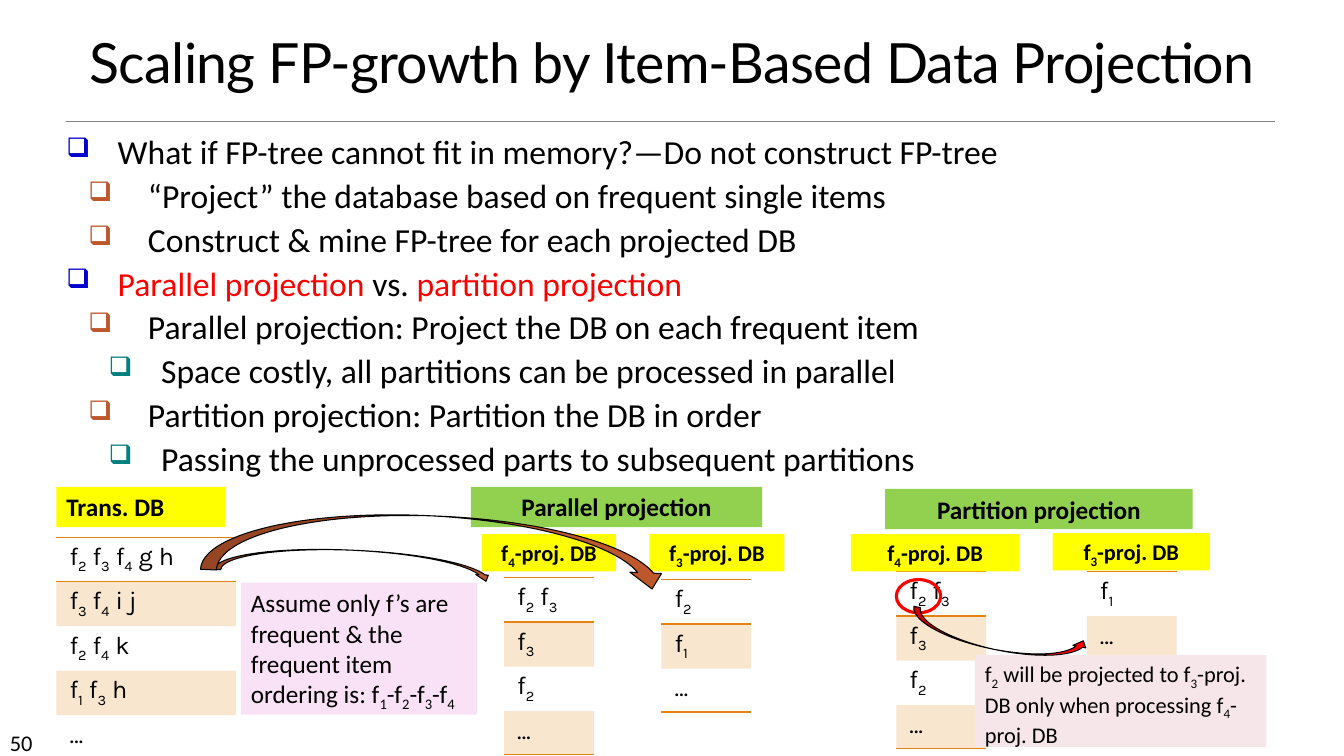
from lxml import etree
from pptx import Presentation
from pptx.dml.color import RGBColor
from pptx.enum import shapes, text
from pptx.oxml import ns
from pptx.util import Inches, Pt

BLACK = RGBColor(0, 0, 0)
GRAY = RGBColor(0x80, 0x80, 0x80)
RED = RGBColor(0xFF, 0, 0)
YELLOW = RGBColor(0xFF, 0xFF, 0)
GREEN = RGBColor(0x92, 0xD0, 0x50)
PINK = RGBColor(0xFA, 0xE2, 0xF6)
ROSE = RGBColor(0xF6, 0xE6, 0xEA)
RUST = RGBColor(0xBD, 0x58, 0x2C)
ORANGE = RGBColor(0xE4, 0x83, 0x12)
BLUE = RGBColor(0, 0, 0xCC)
TEAL = RGBColor(0, 0x80, 0x80)

LEFT, MID = text.PP_ALIGN.LEFT, text.PP_ALIGN.CENTER
KIND = shapes.MSO_SHAPE

# Content: "_" puts the next character in subscript
TITLE = "Scaling FP-growth by Item-Based Data Projection"
POINTS = [  # level, parts with colour
    (0, [("What if FP-tree cannot fit in memory?—Do not construct FP-tree", BLACK)]),
    (1, [("“Project” the database based on frequent single items", BLACK)]),
    (1, [("Construct & mine FP-tree for each projected DB", BLACK)]),
    (0, [("Parallel projection ", RED), ("vs. ", BLACK), ("partition projection", RED)]),
    (1, [("Parallel projection: Project the DB on each frequent item", BLACK)]),
    (2, [("Space costly, all partitions can be processed in parallel", BLACK)]),
    (1, [("Partition projection: Partition the DB in order", BLACK)]),
    (2, [("Passing the unprocessed parts to subsequent partitions", BLACK)]),
]
LEVELS = [(0.51, 0.51, BLUE), (0.81, 0.59, RUST), (0.94, 0.52, TEAL)]  # indent, hang, bullet
TABLES = [  # left, top, width, rows
    (0.56, 5.33, 1.78, ["f_2 f_3 f_4 g h", "f_3 f_4 i j", "f_2 f_4 k", "f_1 f_3 h", "…"]),
    (5, 5.73, 0.89, ["f_2 f_3", "f_3", "f_2", "…"]),
    (6.56, 5.75, 0.89, ["f_2", "f_1", "…"]),
    (8.89, 5.67, 0.89, ["f_2 f_3", "f_3", "f_2", "…"]),
    (10.78, 5.67, 0.89, ["f_1", "…"]),
]
LABELS = [  # left, top, width, height, fill, text, size, bold, align
    (0.56, 4.83, 1.67, 0.4, YELLOW, "Trans. DB", 18, True, LEFT),
    (4.67, 4.83, 2.89, 0.4, GREEN, "Parallel projection", 18, True, MID),
    (8.78, 4.85, 3.05, 0.4, GREEN, "Partition projection", 18, True, MID),
    (4.78, 5.3, 1.33, 0.37, YELLOW, "f_4-proj. DB", 16, True, MID),
    (6.44, 5.3, 1.34, 0.37, YELLOW, "f_3-proj. DB", 16, True, MID),
    (8.44, 5.3, 1.67, 0.37, YELLOW, "f_4-proj. DB", 16, True, MID),
    (10.44, 5.29, 1.56, 0.37, YELLOW, "f_3-proj. DB", 16, True, MID),
    (2.39, 5.78, 2.34, 1.31, PINK,
     "Assume only f’s are frequent & the frequent item ordering is: f_1-f_2-f_3-f_4",
     18, False, LEFT),
    (9.67, 6.5, 2.89, 0.91, ROSE,
     "f_2 will be projected to f_3-proj. DB only when processing f_4-proj. DB",
     16, False, LEFT),
]
ARROWS = [  # left, top, width, height, turn, flipped, fill
    (9.02, 6.19, 1.78, 0.26, 11.5, False, RED),
    (2.13, 5.46, 2.76, 0.25, 2.5, True, RUST),
    (2, 5.12, 4.64, 0.63, 2.5, True, RUST),
]
ROW = 0.43

deck = Presentation()
deck.slide_width, deck.slide_height = Inches(13.33), Inches(7.5)
slide = deck.slides.add_slide(deck.slide_layouts[5])
parts = slide.shapes


def box(*spot):
    return [Inches(n) for n in spot]


def add(node, tag, **attrs):
    return etree.SubElement(node, ns.qn(tag), attrs)


def style(font, name, size, color=BLACK, bold=False):
    font.name, font.size, font.bold = name, Pt(size), bold
    font.color.rgb = color


def write(para, words, name, size, bold=False):
    """Write words, lowering each character that follows "_"."""
    first, *rest = words.split("_")
    bits = [(first, False)]
    for bit in rest:
        bits += [(bit[0], True), (bit[1:], False)]
    for bit, low in bits:
        if bit:
            run = para.add_run()
            run.text = bit
            style(run.font, name, size, bold=bold)
            if low:
                run.font._element.set("baseline", "-25000")


def shape(kind, spot, fill=None, line=None, width=1):
    item = parts.add_shape(kind, *box(*spot))
    item.shadow.inherit = False
    if fill is None:
        item.fill.background()
    else:
        item.fill.solid()
        item.fill.fore_color.rgb = fill
    if line is None:
        item.line.fill.background()
    else:
        item.line.color.rgb, item.line.width = line, Pt(width)
    return item


def edge(cell, tag, drawn):
    line = add(cell._tc.get_or_add_tcPr(), tag, w="12700")
    if drawn:
        add(add(line, "a:solidFill"), "a:srgbClr", val=str(ORANGE))
    else:
        add(line, "a:noFill")


def grid(left, top, width, rows):
    count = len(rows)
    table = parts.add_table(count, 1, *box(left, top, width, ROW * count)).table
    table.first_row = table.horz_banding = False
    ruled = {0, count} | ({1} if count > 2 else set())
    for i, words in enumerate(rows):
        table.rows[i].height = Inches(ROW)
        cell = table.cell(i, 0)
        cell.margin_left = cell.margin_right = Inches(0.13)
        write(cell.text_frame.paragraphs[0], words, "Karla", 18)
        for tag, drawn in (("a:lnL", False), ("a:lnR", False),
                           ("a:lnT", i in ruled), ("a:lnB", i + 1 in ruled)):
            edge(cell, tag, drawn)
        if i % 2:
            cell.fill.solid()
            cell.fill.fore_color.rgb = ORANGE
            tint = cell._tc.tcPr.find(ns.qn("a:solidFill"))[0]
            add(tint, "a:alpha", val="20000")
        else:
            cell.fill.background()


# Title and rule
head = parts.title
head.left, head.top, head.width, head.height = box(0, 0.33, 13.33, 0.66)
frame = head.text_frame
frame.text = TITLE
frame.auto_size = text.MSO_AUTO_SIZE.NONE
frame.vertical_anchor = text.MSO_ANCHOR.MIDDLE
para = frame.paragraphs[0]
para.alignment, para.line_spacing = MID, 0.85
style(para.runs[0].font, "Lato", 39.6)
para.runs[0].font._element.set("spc", "-50")

rule = parts.add_connector(shapes.MSO_CONNECTOR.STRAIGHT, *box(0.65, 1.2, 12.65, 1.2))
rule.line.color.rgb, rule.line.width = GRAY, Pt(0.5)
add(rule._element.spPr, "a:effectLst")

# Page number
page = parts.add_textbox(*box(0, 7.18, 1.17, 0.3)).text_frame
page.word_wrap = True
write(page.paragraphs[0], "50", "Calibri", 16)

# Bullet points
body = parts.add_textbox(*box(0.56, 1.25, 12.56, 3.58)).text_frame
body.word_wrap = True
for i, (level, bits) in enumerate(POINTS):
    para = body.add_paragraph() if i else body.paragraphs[0]
    para.level = level
    para.space_before = Pt(2.5 if i else 0)
    indent, hang, color = LEVELS[level]
    props = para._p.get_or_add_pPr()
    props.set("marL", str(Inches(indent)))
    props.set("indent", str(-Inches(hang)))
    add(add(props, "a:buClr"), "a:srgbClr", val=str(color))
    add(props, "a:buSzPct", val="80000")
    add(props, "a:buChar", char="❑")
    for words, ink in bits:
        run = para.add_run()
        run.text = words
        style(run.font, "Calibri", 24, ink)

# Databases, then labels and notes
for table in TABLES:
    grid(*table)
for *spot, fill, words, size, bold, align in LABELS:
    frame = shape(KIND.RECTANGLE, spot, fill).text_frame
    frame.word_wrap = True
    frame.vertical_anchor = text.MSO_ANCHOR.TOP
    frame.paragraphs[0].alignment = align
    write(frame.paragraphs[0], words, "Calibri", size, bold)

# Ring and curved arrows
shape(KIND.OVAL, (8.89, 5.75, 0.44, 0.33), line=RED, width=2.25)
for *spot, turn, flip, fill in ARROWS:
    arrow = shape(KIND.CURVED_UP_ARROW, spot, fill, BLACK, 0.75)
    for i, value in enumerate((0.25, 0.5, 0.25)):
        arrow.adjustments[i] = value
    arrow.rotation = turn
    if flip:
        arrow._element.spPr.xfrm.set("flipV", "1")

deck.save("out.pptx")
